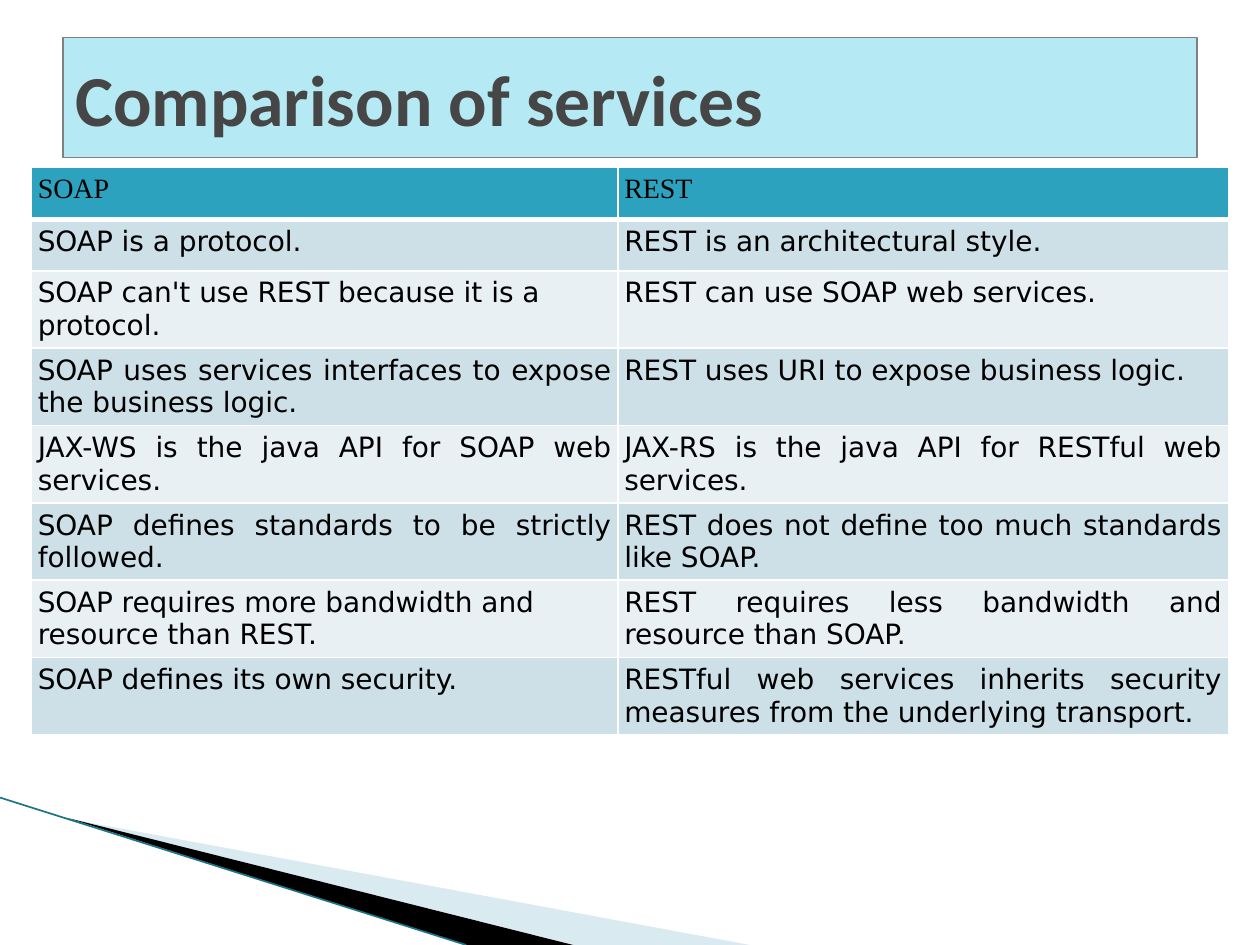
from dataclasses import dataclass
from lxml.etree import SubElement
from pptx import Presentation
from pptx.dml.color import RGBColor
from pptx.enum.shapes import MSO_CONNECTOR, MSO_SHAPE
from pptx.enum.text import MSO_ANCHOR, PP_ALIGN
from pptx.oxml.ns import qn
from pptx.util import Inches, Pt


@dataclass(frozen=True)
class Theme:
    title_fill: str = "B5E9F4"
    title_line: str = "808080"
    title_text: str = "464646"
    header: str = "2DA2BF"
    bands: tuple = ("CDE0E8", "E8F0F4")
    border: str = "FFFFFF"
    text: str = "000000"
    pale_wedge: str = "A0CBDC"
    dark_wedge: str = "000000"
    edge: str = "1B7587"
    title_font: str = "Calibri"
    header_font: str = "Times New Roman"
    body_font: str = "DejaVu Sans"
    title_size: int = 41
    body_size: int = 16


@dataclass(frozen=True)
class Box:
    left: float
    top: float
    width: float
    height: float

    def point(self, column, row):
        return cells(self.left + column), cells(self.top + row)

    def frame(self):
        return [cells(n) for n in (self.left, self.top, self.width, self.height)]


THEME = Theme()
COLUMNS, ROWS = 100, 75
LEFT, JUSTIFY = PP_ALIGN.LEFT, PP_ALIGN.JUSTIFY

COMPARISON = [
    (("SOAP", LEFT), ("REST", LEFT)),
    (("SOAP is a protocol.", JUSTIFY),
     ("REST is an architectural style.", JUSTIFY)),
    (("SOAP can't use REST because it is a protocol.", LEFT),
     ("REST can use SOAP web services.", JUSTIFY)),
    (("SOAP uses services interfaces to expose the business logic.", JUSTIFY),
     ("REST uses URI to expose business logic.", LEFT)),
    (("JAX-WS is the java API for SOAP web services.", JUSTIFY),
     ("JAX-RS is the java API for RESTful web services.", JUSTIFY)),
    (("SOAP defines standards to be strictly followed.", JUSTIFY),
     ("REST does not define too much standards like SOAP.", JUSTIFY)),
    (("SOAP requires more bandwidth and resource than REST.", LEFT),
     ("REST requires less bandwidth and resource than SOAP.", JUSTIFY)),
    (("SOAP defines its own security.", JUSTIFY),
     ("RESTful web services inherits security measures from the underlying transport.", JUSTIFY)),
]


def cells(count):
    return Inches(count / 10)


def rgb(color):
    return RGBColor.from_string(color)


def paint(part, color):
    part.fill.solid()
    part.fill.fore_color.rgb = rgb(color)


def write(paragraph, words, font, size, color, bold=False, align=LEFT):
    paragraph.alignment = align
    run = paragraph.add_run()
    run.text = words
    run.font.name = font
    run.font.size = Pt(size)
    run.font.bold = bold
    run.font.color.rgb = rgb(color)


def add_borders(cell, top, bottom):
    properties = cell._tc.get_or_add_tcPr()
    for side, width in (("L", 1), ("R", 1), ("T", top), ("B", bottom)):
        border = SubElement(properties, qn(f"a:ln{side}"), w=str(Pt(width)))
        fill = SubElement(border, qn("a:solidFill"))
        SubElement(fill, qn("a:srgbClr"), val=THEME.border)


def add_wedge(slide, box, points, color, opacity=100):
    start, *rest = [box.point(*point) for point in points]
    builder = slide.shapes.build_freeform(*start)
    builder.add_line_segments(rest, close=True)
    wedge = builder.convert_to_shape()
    wedge.shadow.inherit = False
    paint(wedge, color)
    wedge.line.fill.background()
    if opacity < 100:
        tint = wedge.fill._xPr.find(".//" + qn("a:srgbClr"))
        SubElement(tint, qn("a:alpha"), val=str(opacity * 1000))


def add_corner(slide, box):
    bottom = box.height
    add_wedge(slide, box, [(5.5, 1.7), (59.5, bottom), (45.6, bottom)],
              THEME.pale_wedge, 40)
    add_wedge(slide, box, [(5.3, 1.6), (45.5, bottom), (37, bottom)],
              THEME.dark_wedge)
    edge = slide.shapes.add_connector(
        MSO_CONNECTOR.STRAIGHT, *box.point(0, 0), *box.point(37, bottom))
    edge.line.color.rgb = rgb(THEME.edge)
    edge.line.width = Pt(0.95)
    SubElement(edge._element.spPr, qn("a:effectLst"))


def add_comparison(slide, box):
    table = slide.shapes.add_table(len(COMPARISON), 2, *box.frame()).table
    table.first_row = table.horz_banding = False
    for column, share in zip(table.columns, (0.49, 0.51)):
        column.width = round(cells(box.width) * share)
    for index, entries in enumerate(COMPARISON):
        is_header = index == 0
        fill = THEME.header if is_header else THEME.bands[(index - 1) % 2]
        font = THEME.header_font if is_header else THEME.body_font
        for column, (words, align) in enumerate(entries):
            cell = table.cell(index, column)
            cell.margin_left = cell.margin_right = Inches(0.05)
            cell.margin_top = cell.margin_bottom = Inches(0.05)
            add_borders(cell, 3 if index == 1 else 1, 3 if is_header else 1)
            paint(cell, fill)
            write(cell.text_frame.paragraphs[0], words, font,
                  THEME.body_size, THEME.text, align=align)


def add_title(slide, box):
    banner = slide.shapes.add_shape(MSO_SHAPE.RECTANGLE, *box.frame())
    banner.shadow.inherit = False
    paint(banner, THEME.title_fill)
    banner.line.color.rgb = rgb(THEME.title_line)
    banner.line.width = Pt(0.75)
    banner.text_frame.word_wrap = True
    banner.text_frame.vertical_anchor = MSO_ANCHOR.MIDDLE
    write(banner.text_frame.paragraphs[0], "Comparison of services",
          THEME.title_font, THEME.title_size, THEME.title_text, bold=True)


def main():
    deck = Presentation()
    deck.slide_width, deck.slide_height = cells(COLUMNS), cells(ROWS)
    slide = deck.slides.add_slide(deck.slide_layouts[6])
    add_corner(slide, Box(0, 63.3, 60, 11.7))
    add_comparison(slide, Box(2.5, 13.3, 95, 32.8))
    add_title(slide, Box(5, 3, 90, 9.5))
    deck.save("out.pptx")


if __name__ == "__main__":
    main()
